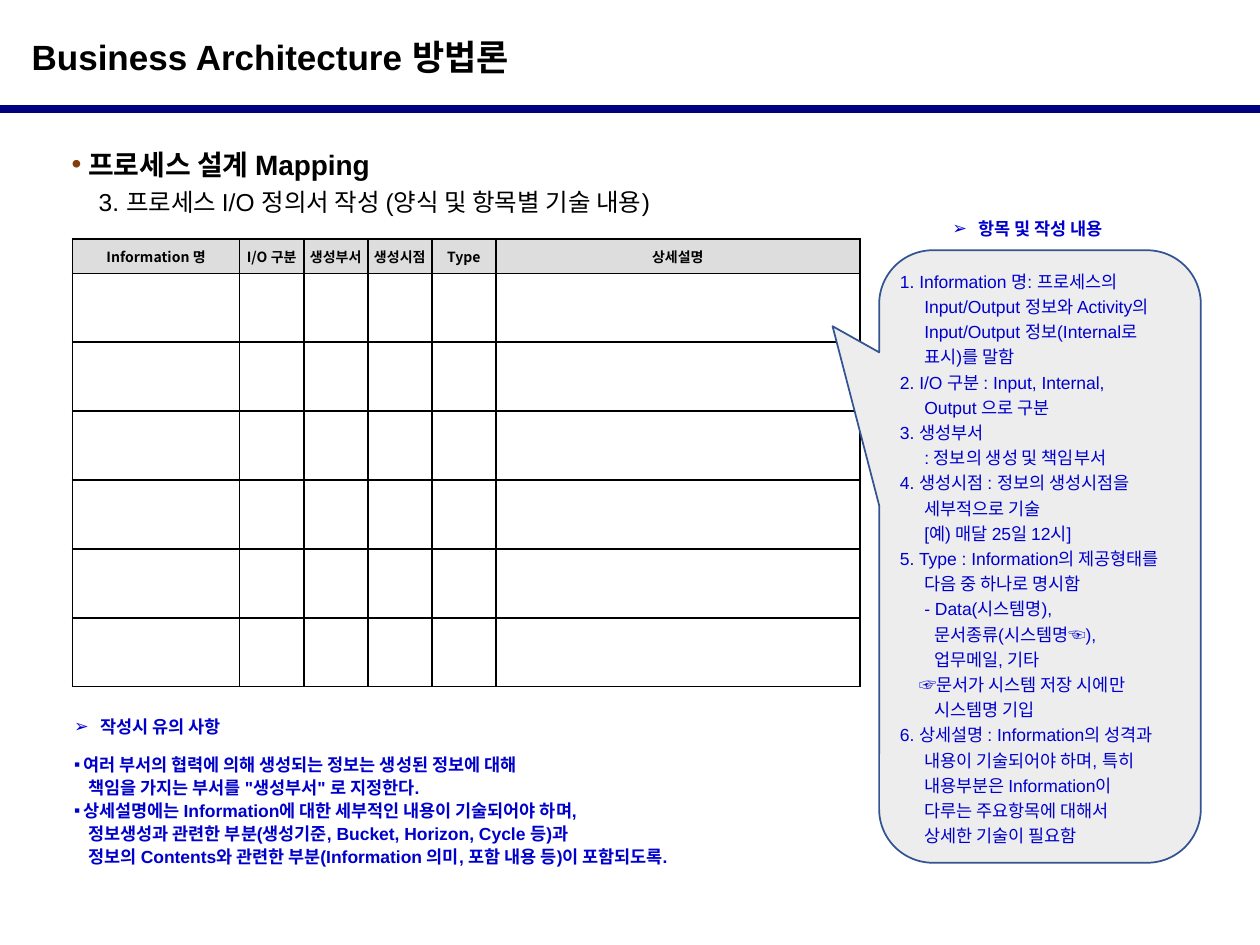
import pptx
import pptx.util
import pptx.dml.color
import pptx.enum.shapes
import pptx.enum.text
import pptx.oxml
import lxml.etree

Pt = pptx.util.Pt
ANCHOR = pptx.enum.text.MSO_ANCHOR
ALIGN = pptx.enum.text.PP_ALIGN
A = "http://schemas.openxmlformats.org/drawingml/2006/main"
NAVY, BLUE, BLACK = "000080", "0000CC", "000000"


def color(value):
    return pptx.dml.color.RGBColor.from_string(value)


def write(frame, lines, size, ink, bold=False, spacing=1.0, font="Arial"):
    """Fill a frame with (text, left margin, bullet, bullet colour) lines."""
    frame.word_wrap = True
    for i, (text, margin, bullet, bullet_ink) in enumerate(lines):
        paragraph = frame.paragraphs[0] if i == 0 else frame.add_paragraph()
        paragraph.text = text
        paragraph.line_spacing = spacing
        paragraph.alignment = ALIGN.LEFT
        props = paragraph._p.get_or_add_pPr()
        props.set("marL", str(Pt(margin)))
        props.set("indent", str(-Pt(margin) if bullet else 0))
        if bullet:
            tint = lxml.etree.SubElement(props, f"{{{A}}}buClr")
            lxml.etree.SubElement(tint, f"{{{A}}}srgbClr", val=bullet_ink)
            lxml.etree.SubElement(props, f"{{{A}}}buFont", typeface="Arial")
            lxml.etree.SubElement(props, f"{{{A}}}buChar", char=bullet)
        paragraph.font.size = Pt(size)
        paragraph.font.bold = bold
        paragraph.font.name = font
        paragraph.font.color.rgb = color(ink)
        for run in paragraph.runs:
            east_asian = lxml.etree.SubElement(run._r.get_or_add_rPr(), f"{{{A}}}ea")
            east_asian.set("typeface", "Noto Sans CJK KR")


deck = pptx.Presentation()
deck.slide_width, deck.slide_height = Pt(720), Pt(540)
slide = deck.slides.add_slide(deck.slide_layouts[6])
shapes = slide.shapes

# Title and rule
title = shapes.add_textbox(Pt(11), Pt(16.5), Pt(700), Pt(31.5)).text_frame
write(title, [("Business Architecture 방법론", 0, None, None)], 20, BLACK, True)

rule = shapes.add_connector(pptx.enum.shapes.MSO_CONNECTOR.STRAIGHT,
                            Pt(0), Pt(62.5), Pt(720), Pt(62.5))
rule.line.color.rgb = color(NAVY)
rule.line.width = Pt(4.5)
lxml.etree.SubElement(rule._element.spPr, f"{{{A}}}effectLst")

# Section heading and step
heading = shapes.add_textbox(Pt(33.8), Pt(77), Pt(652), Pt(51)).text_frame
write(heading, [("프로세스 설계 Mapping", 9.5, "•", "843C0B"),
                ("3. 프로세스 I/O 정의서 작성 (양식 및 항목별 기술 내용)", 15.5, None, None)],
      16, BLACK, True, 1.2)
step = heading.paragraphs[1].font
step.size, step.bold = Pt(14), False

# Definition form
headers = ["Information 명", "I/O 구분", "생성부서", "생성시점", "Type", "상세설명"]
widths = [95.6] + [36.6] * 4 + [208]
heights = [19.5] + [39.4] * 6
form_shape = shapes.add_table(len(heights), len(widths), Pt(41.4), Pt(136.7),
                              Pt(sum(widths)), Pt(sum(heights)))
form = form_shape.table
for column, width in zip(form.columns, widths):
    column.width = Pt(width)
for row, height in zip(form.rows, heights):
    row.height = Pt(height)
for r in range(len(heights)):
    for c, header in enumerate(headers):
        cell = form.cell(r, c)
        props = cell._tc.get_or_add_tcPr()
        for side in ("lnL", "lnR", "lnT", "lnB"):
            props.append(pptx.oxml.parse_xml(
                f'<a:{side} xmlns:a="{A}" w="{Pt(1)}"><a:solidFill>'
                f'<a:srgbClr val="{BLACK}"/></a:solidFill></a:{side}>'))
        cell.fill.solid()
        cell.fill.fore_color.rgb = color("FFFFFF" if r else "DDDDDD")
        if r == 0:
            cell.margin_left = cell.margin_right = Pt(1.4)
            cell.margin_top = cell.margin_bottom = Pt(1.4)
            cell.vertical_anchor = ANCHOR.MIDDLE
            write(cell.text_frame, [(header, 0, None, None)], 8, BLACK, True,
                  font="Noto Sans CJK KR")
            cell.text_frame.paragraphs[0].alignment = ALIGN.CENTER

# Callout describing each column
callout = shapes.add_shape(pptx.enum.shapes.MSO_SHAPE.ROUNDED_RECTANGULAR_CALLOUT,
                           Pt(502.4), Pt(143), Pt(183.8), Pt(350))
for i, value in enumerate((-0.645, -0.376, 0.167)):
    callout.adjustments[i] = value
callout.shadow.inherit = False
callout.fill.solid()
callout.fill.fore_color.rgb = color("EDEDED")
callout.line.color.rgb = color("325491")
callout.line.width = Pt(1)
guide = callout.text_frame
guide.margin_left = guide.margin_right = Pt(2.9)
guide.vertical_anchor = ANCHOR.MIDDLE
ITEM, MARK, BODY, DEEP = 0, 11.1, 13.9, 19.5
guide_lines = [
    ("1. Information 명: 프로세스의", ITEM),
    ("Input/Output 정보와 Activity의", BODY),
    ("Input/Output 정보(Internal로", BODY),
    ("표시)를 말함", BODY),
    ("2. I/O 구분 : Input, Internal,", ITEM),
    ("Output 으로 구분", BODY),
    ("3. 생성부서", ITEM),
    (": 정보의 생성 및 책임부서", BODY),
    ("4. 생성시점 : 정보의 생성시점을", ITEM),
    ("세부적으로 기술", BODY),
    ("[예) 매달 25일 12시]", BODY),
    ("5. Type : Information의 제공형태를", ITEM),
    ("다음 중 하나로 명시함", BODY),
    ("- Data(시스템명),", BODY),
    ("문서종류(시스템명☜),", DEEP),
    ("업무메일, 기타", DEEP),
    ("☞문서가 시스템 저장 시에만", MARK),
    ("시스템명 기입", DEEP),
    ("6. 상세설명 : Information의 성격과", ITEM),
    ("내용이 기술되어야 하며, 특히", BODY),
    ("내용부분은 Information이", BODY),
    ("다루는 주요항목에 대해서", BODY),
    ("상세한 기술이 필요함", BODY),
]
write(guide, [(text, margin, None, None) for text, margin in guide_lines],
      10, BLUE, spacing=1.2)

# Arrow headings
for text, left, top in (("항목 및 작성 내용", 537.2, 121), ("작성시 유의 사항", 35.3, 405.5)):
    label = shapes.add_textbox(Pt(left), Pt(top), Pt(112), Pt(19.4)).text_frame
    write(label, [(text, 15, "➢", BLUE)], 10, BLUE, True)

# Cautions
cautions = shapes.add_textbox(Pt(35.3), Pt(425.5), Pt(445.7), Pt(74.2)).text_frame
cautions.vertical_anchor = ANCHOR.MIDDLE
write(cautions, [
    ("여러 부서의 협력에 의해 생성되는 정보는 생성된 정보에 대해", 5.3, "▪", BLUE),
    ('책임을 가지는 부서를 "생성부서" 로 지정한다.', 8.3, None, None),
    ("상세설명에는 Information에 대한 세부적인 내용이 기술되어야 하며,", 5.3, "▪", BLUE),
    ("정보생성과 관련한 부분(생성기준, Bucket, Horizon, Cycle 등)과", 8.3, None, None),
    ("정보의 Contents와 관련한 부분(Information 의미, 포함 내용 등)이 포함되도록.", 8.3, None, None),
], 10, BLUE, True, 1.1)

deck.save("out.pptx")
